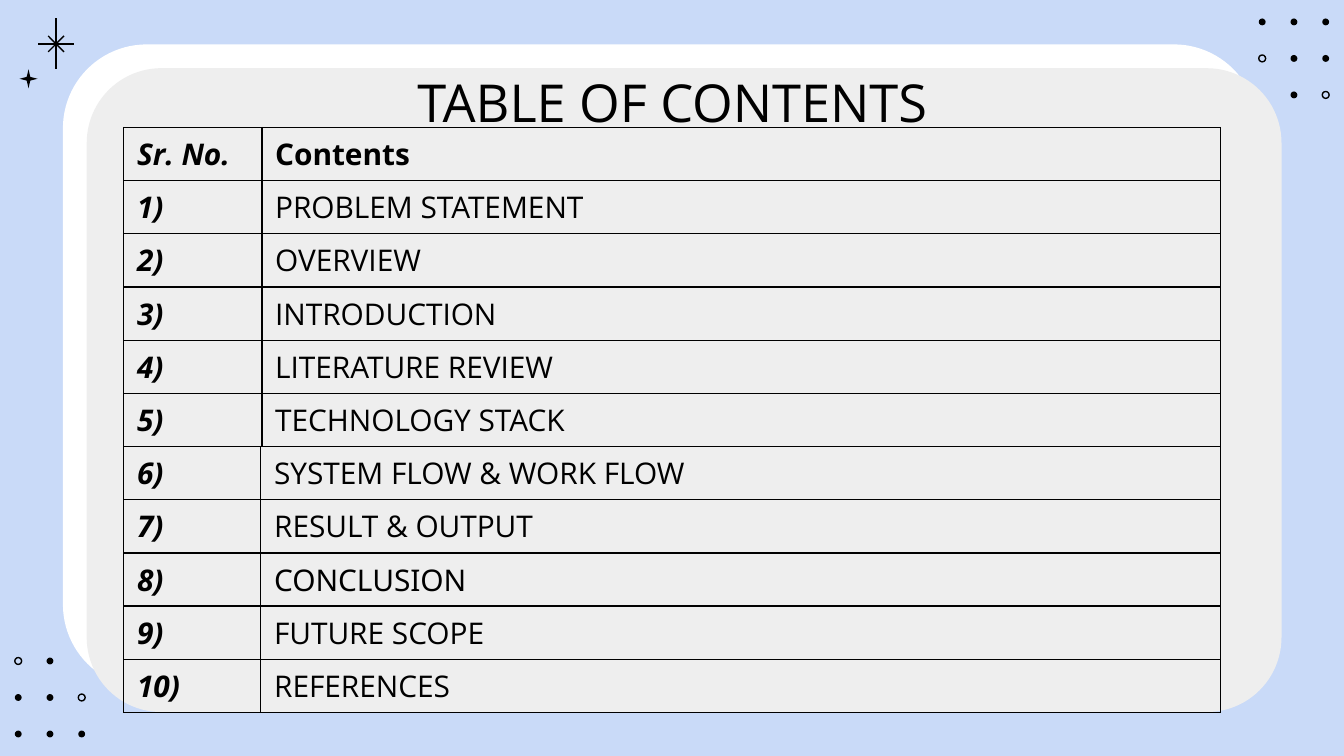
from dataclasses import dataclass

from lxml import etree
from pptx import Presentation
from pptx.dml.color import RGBColor
from pptx.enum.shapes import MSO_CONNECTOR, MSO_SHAPE
from pptx.enum.text import MSO_ANCHOR, MSO_AUTO_SIZE, PP_ALIGN
from pptx.oxml.ns import qn
from pptx.util import Cm, Pt

STRAIGHT = MSO_CONNECTOR.STRAIGHT
ROUNDED = MSO_SHAPE.ROUNDED_RECTANGLE
OVAL = MSO_SHAPE.OVAL
STAR = MSO_SHAPE.STAR_4_POINT
TOP = MSO_ANCHOR.TOP
MIDDLE = MSO_ANCHOR.MIDDLE
NO_FIT = MSO_AUTO_SIZE.NONE
CENTER = PP_ALIGN.CENTER


@dataclass(frozen=True)
class Theme:
    backdrop: str = "C9DAF8"
    white: str = "FFFFFF"
    panel: str = "EEEEEE"
    ink: str = "000000"
    font: str = "Open Sans"
    alternate_font: str = "Noto Sans"
    title_size: int = 28
    body_size: int = 16
    line_width: float = 0.75


THEME = Theme()

TABLE_LEFT, TABLE_WIDTH = 2.34, 20.73
ROW_HEIGHT = 11.06 / 11
# Top, number column width and rows of each table; the spare last row of the
# second table lies under the first row of the third
SECTIONS = [
    (2.41, 2.61, [("Sr. No.", "Contents"), ("1)", "PROBLEM STATEMENT"),
                  ("2)", "OVERVIEW"), ("3)", "INTRODUCTION"),
                  ("4)", "LITERATURE REVIEW"), ("5)", "TECHNOLOGY STACK")]),
    (8.44, 2.59, [("6)", "SYSTEM FLOW & WORK FLOW"),
                  ("7)", "RESULT & OUTPUT"), ("", "")]),
    (10.46, 2.59, [("8)", "CONCLUSION"), ("9)", "FUTURE SCOPE"),
                   ("10)", "REFERENCES")]),
]

DOT_SIZE, DOT_STEP_X, DOT_STEP_Y = 0.13, 0.6, 0.69


def color(value):
    return RGBColor.from_string(value)


def add_filled_shape(page, kind, left, top, width, height, fill):
    shape = page.shapes.add_shape(kind, Cm(left), Cm(top), Cm(width), Cm(height))
    shape.shadow.inherit = False
    shape.fill.solid()
    shape.fill.fore_color.rgb = color(fill)
    shape.line.fill.background()
    return shape


def add_panel(page, left, top, fill, roundness):
    panel = add_filled_shape(page, ROUNDED, left, top, 22.58, 12.17, fill)
    panel.adjustments[0] = roundness


def add_dots(page, left, top, pattern):
    """Draw a dot grid: * is a solid dot, o a ring, a space nothing."""
    for row, marks in enumerate(pattern):
        for column, mark in enumerate(marks):
            if mark == " ":
                continue
            dot = add_filled_shape(page, OVAL, left + column * DOT_STEP_X,
                                   top + row * DOT_STEP_Y, DOT_SIZE, DOT_SIZE,
                                   THEME.ink)
            if mark == "o":
                dot.fill.background()
                dot.line.color.rgb = color(THEME.ink)
                dot.line.width = Pt(THEME.line_width)


def add_sparkle(page, center_x, center_y):
    for reach_x, reach_y in [(0, 0.48), (0.15, 0.15), (0.15, -0.15), (0.34, 0)]:
        ray = page.shapes.add_connector(
            STRAIGHT, Cm(center_x - reach_x), Cm(center_y - reach_y),
            Cm(center_x + reach_x), Cm(center_y + reach_y))
        ray.line.color.rgb = color(THEME.ink)
        ray.line.width = Pt(THEME.line_width)
        etree.SubElement(ray.element.spPr, qn("a:effectLst"))


def add_span(para, text, size, font=THEME.font, bold=False, italic=False):
    span = para.add_run()
    span.text = text
    span.font.name = font
    span.font.size = Pt(size)
    span.font.bold = bold
    span.font.italic = italic
    span.font.color.rgb = color(THEME.ink)


def place_title(page, text):
    title = page.shapes.title
    title.left, title.top = Cm(2), Cm(1.07)
    title.width, title.height = Cm(21.41), Cm(1.35)
    frame = title.text_frame
    frame.word_wrap = True
    frame.auto_size = NO_FIT
    frame.vertical_anchor = TOP
    frame.margin_left = frame.margin_right = Cm(0.25)
    frame.margin_top = frame.margin_bottom = Cm(0.25)
    para = frame.paragraphs[0]
    para.alignment = CENTER
    add_span(para, text, THEME.title_size)
    # Bring the title in front of the panels
    title.element.getparent().append(title.element)


def format_cell(cell):
    cell.vertical_anchor = MIDDLE
    cell.margin_left = cell.margin_right = Cm(0.25)
    cell.margin_top = cell.margin_bottom = 0
    properties = cell._tc.get_or_add_tcPr()
    for side in ("a:lnL", "a:lnR", "a:lnT", "a:lnB"):
        border = etree.SubElement(properties, qn(side),
                                  w=str(Pt(THEME.line_width)))
        fill = etree.SubElement(border, qn("a:solidFill"))
        etree.SubElement(fill, qn("a:srgbClr"), val=THEME.ink)
    cell.fill.background()


def add_section(page, top, number_width, rows):
    frame = page.shapes.add_table(len(rows), 2, Cm(TABLE_LEFT), Cm(top),
                                  Cm(TABLE_WIDTH), Cm(ROW_HEIGHT * len(rows)))
    table = frame.table
    table.first_row = table.horz_banding = False
    table.columns[0].width = Cm(number_width)
    table.columns[1].width = Cm(TABLE_WIDTH - number_width)
    for row, (number, topic) in enumerate(rows):
        table.rows[row].height = Cm(ROW_HEIGHT)
        number_cell, topic_cell = table.cell(row, 0), table.cell(row, 1)
        format_cell(number_cell)
        format_cell(topic_cell)
        if not topic:
            continue
        add_span(number_cell.text_frame.paragraphs[0], number,
                 THEME.body_size, bold=True, italic=True)
        font = THEME.alternate_font if topic == "CONCLUSION" else THEME.font
        add_span(topic_cell.text_frame.paragraphs[0], topic,
                 THEME.body_size, font, bold=topic == "Contents")


def main():
    deck = Presentation()
    deck.slide_width, deck.slide_height = Cm(25.4), Cm(14.29)
    page = deck.slides.add_slide(deck.slide_layouts[5])
    page.background.fill.solid()
    page.background.fill.fore_color.rgb = color(THEME.backdrop)

    add_panel(page, 1.19, 0.84, THEME.white, 0.13)
    add_panel(page, 1.64, 1.29, THEME.panel, 0.116)
    add_dots(page, 23.79, 0.35, ["***", "o**", " *o"])
    add_dots(page, 0.28, 12.43, ["o* ", "**o", "***"])
    add_sparkle(page, 1.06, 0.83)
    star = add_filled_shape(page, STAR, 0.37, 1.31, 0.34, 0.36, THEME.ink)
    star.adjustments[0] = 0.14

    place_title(page, "TABLE OF CONTENTS")
    for top, number_width, rows in SECTIONS:
        add_section(page, top, number_width, rows)
    deck.save("out.pptx")


if __name__ == "__main__":
    main()
